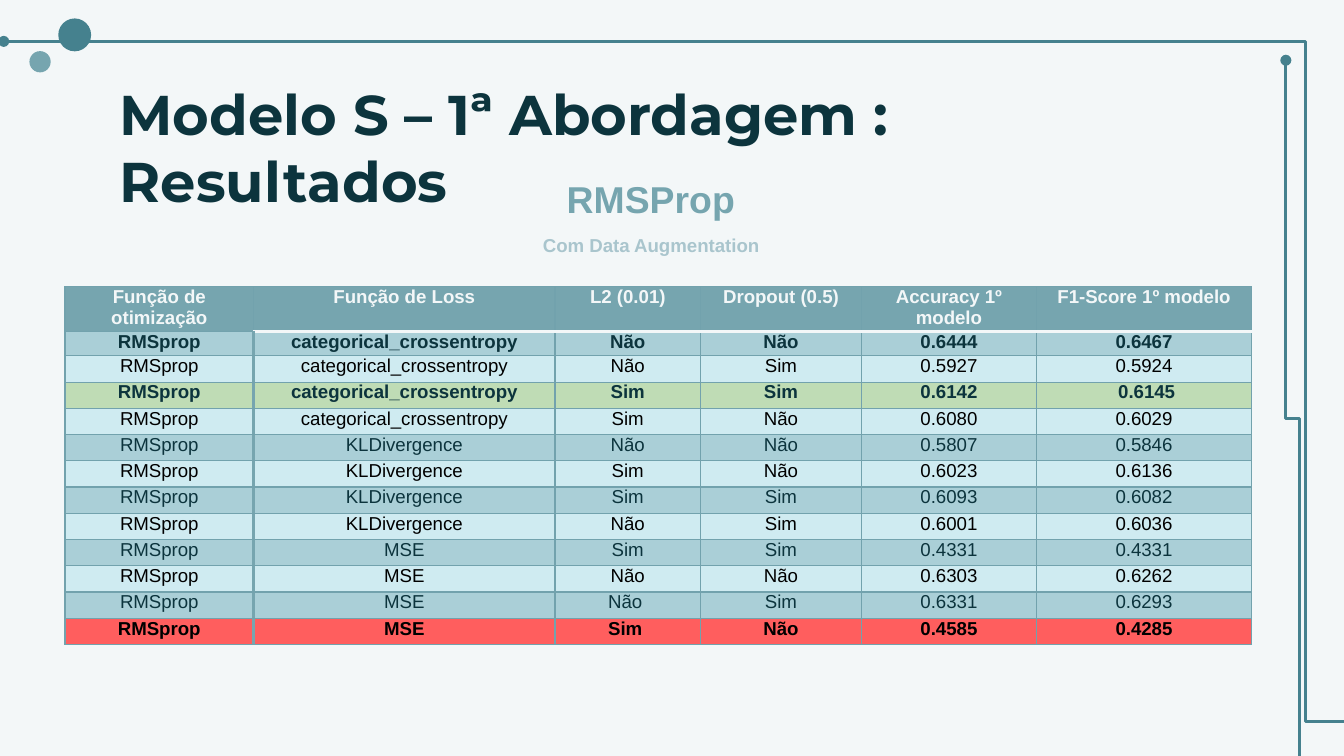
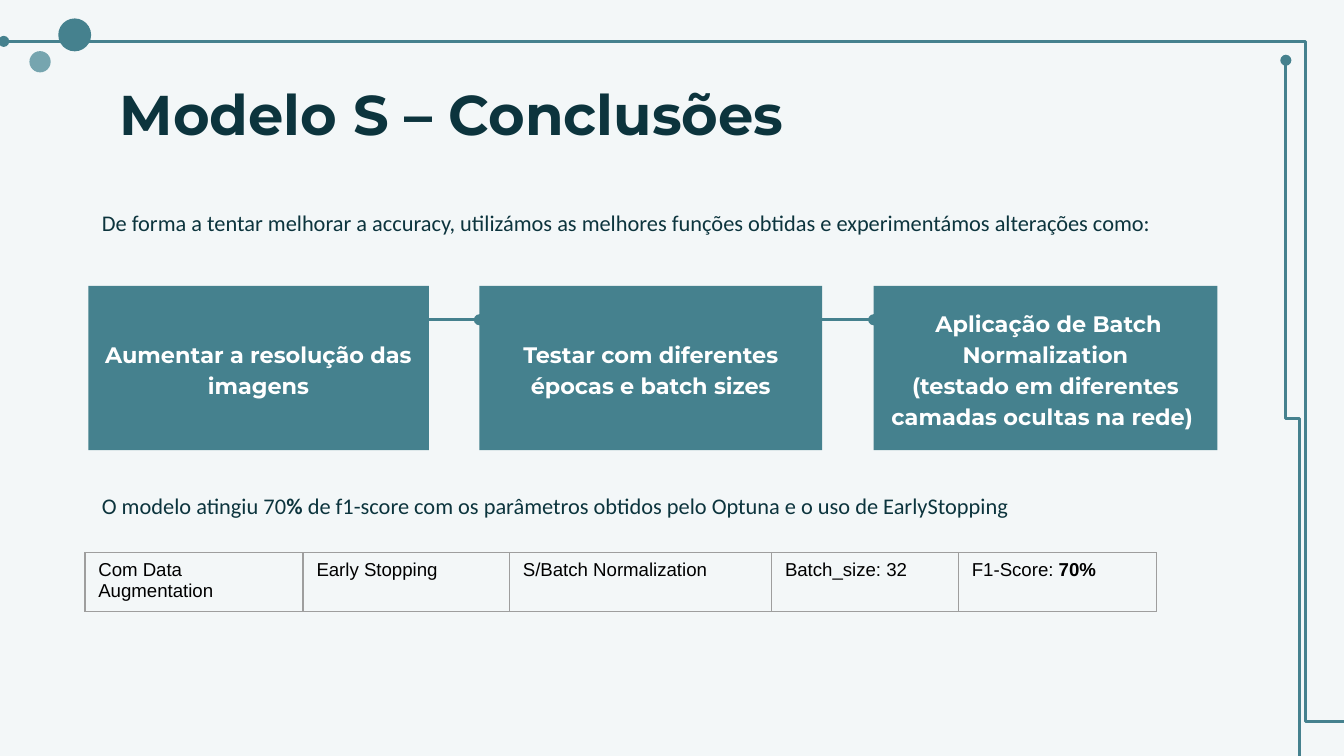
from dataclasses import dataclass
from itertools import pairwise

from lxml.etree import SubElement
from pptx import Presentation
from pptx.dml.color import RGBColor
from pptx.enum.shapes import MSO_CONNECTOR, MSO_SHAPE
from pptx.enum.text import MSO_ANCHOR, PP_ALIGN
from pptx.oxml.ns import qn
from pptx.util import Pt

BACKGROUND = RGBColor(0xF3, 0xF7, 0xF8)
TEAL = RGBColor(0x45, 0x81, 0x8E)
SOFT_TEAL = RGBColor(0x76, 0xA5, 0xAF)
PALE_TEAL = RGBColor(0xA9, 0xC5, 0xCD)
DARK = RGBColor(0x0C, 0x34, 0x3D)
BLACK = RGBColor(0x00, 0x00, 0x00)
WHITE = RGBColor(0xFF, 0xFF, 0xFF)
GRID = RGBColor(0x72, 0xA2, 0xAD)
GREY = RGBColor(0x9E, 0x9E, 0x9E)
BAND_DARK = RGBColor(0xAA, 0xCF, 0xD7)
BAND_LIGHT = RGBColor(0xCF, 0xEB, 0xF1)
GREEN = RGBColor(0xBF, 0xDC, 0xB5)
RED = RGBColor(0xFF, 0x5E, 0x5E)


@dataclass(frozen=True)
class Box:
    left: float
    top: float
    width: float
    height: float

    @property
    def right(self) -> float:
        return self.left + self.width

    def lengths(self) -> tuple:
        return Pt(self.left), Pt(self.top), Pt(self.width), Pt(self.height)


@dataclass(frozen=True)
class Style:
    font: str
    size: float
    color: RGBColor
    bold: bool = False
    align: PP_ALIGN = PP_ALIGN.LEFT
    spacing: float = 1.0


@dataclass(frozen=True)
class TextRun:
    text: str
    bold: bool


@dataclass(frozen=True)
class Edge:
    color: RGBColor
    width: float = 0.75


@dataclass(frozen=True)
class Dot:
    box: Box
    color: RGBColor


@dataclass(frozen=True)
class Step:
    box: Box
    lines: tuple[str, ...]


@dataclass(frozen=True)
class Result:
    loss: str
    l2: str
    dropout: str
    accuracy: str
    f1_score: str
    fill: RGBColor
    color: RGBColor
    bold: bool = False

    def texts(self) -> tuple[str, ...]:
        return ("RMSprop", self.loss, self.l2, self.dropout, self.accuracy, self.f1_score)


TITLE = Style("Montserrat", 30, DARK, True)
BODY = Style("Calibri", 12, DARK)
STEP = Style("Montserrat", 12, WHITE, True, PP_ALIGN.CENTER, 1.15)
PARAMETER = Style("Arial", 10, BLACK)

DOTS = (
    Dot(Box(15.8, 27.4, 11.4, 11.4), SOFT_TEAL),
    Dot(Box(31.2, 9.9, 17.6, 17.6), TEAL),
)

CROSS = "categorical_crossentropy"
DIVERGENCE = "KLDivergence"
HEADINGS = ("Função de otimização", "Função de Loss", "L2 (0.01)", "Dropout (0.5)",
            "Accuracy 1º modelo", "F1-Score 1º modelo")
RESULTS = (
    Result(CROSS, "Não", "Não", "0.6444", "0.6467", BAND_DARK, DARK, True),
    Result(CROSS, "Não", "Sim", "0.5927", "0.5924", BAND_LIGHT, BLACK),
    Result(CROSS, "Sim", "Sim", "0.6142", " 0.6145", GREEN, DARK, True),
    Result(CROSS, "Sim", "Não", "0.6080", "0.6029", BAND_LIGHT, BLACK),
    Result(DIVERGENCE, "Não", "Não", "0.5807", "0.5846", BAND_DARK, DARK),
    Result(DIVERGENCE, "Sim", "Não", "0.6023", "0.6136", BAND_LIGHT, BLACK),
    Result(DIVERGENCE, "Sim", "Sim", "0.6093", "0.6082", BAND_DARK, DARK),
    Result(DIVERGENCE, "Não", "Sim", "0.6001", "0.6036", BAND_LIGHT, BLACK),
    Result("MSE", "Sim", "Sim", "0.4331", "0.4331", BAND_DARK, DARK),
    Result("MSE", "Não", "Não", "0.6303", "0.6262", BAND_LIGHT, BLACK),
    Result("MSE", "Não ", "Sim", "0.6331", "0.6293", BAND_DARK, DARK),
    Result("MSE", "Sim ", "Não", "0.4585", "0.4285", RED, BLACK, True),
)

STEPS = (
    Step(Box(47.3, 153.2, 182.4, 88), ("Aumentar a resolução das", "imagens")),
    Step(Box(256.8, 153.2, 183.7, 88), ("Testar com diferentes épocas e batch sizes",)),
    Step(Box(468, 153.2, 184.2, 88),
         (" Aplicação de Batch Normalization",
          "(testado em diferentes camadas ocultas na rede) ")),
)
PARAMETERS = (
    (TextRun("Com Data Augmentation", False),),
    (TextRun("Early Stopping", False),),
    (TextRun("S/Batch Normalization", False),),
    (TextRun("Batch_size: 32", False),),
    (TextRun("F1-Score:", False), TextRun(" 70%", True)),
)


def write(frame, paragraphs, style: Style) -> None:
    frame.word_wrap = True
    for index, runs in enumerate(paragraphs):
        paragraph = frame.add_paragraph() if index else frame.paragraphs[0]
        paragraph.alignment = style.align
        paragraph.line_spacing = style.spacing
        for text_run in runs:
            run = paragraph.add_run()
            run.text = text_run.text
            run.font.name = style.font
            run.font.size = Pt(style.size)
            run.font.bold = text_run.bold
            run.font.color.rgb = style.color


def plain(text: str, style: Style) -> tuple[TextRun, ...]:
    return (TextRun(text, style.bold),)


def set_margins(target, horizontal: float, vertical: float) -> None:
    target.margin_left = target.margin_right = Pt(horizontal)
    target.margin_top = target.margin_bottom = Pt(vertical)


def add_text(slide, box: Box, runs, style: Style, vertical_margin: float = 3.6) -> None:
    frame = slide.shapes.add_textbox(*box.lengths()).text_frame
    set_margins(frame, 7.2, vertical_margin)
    write(frame, (runs,), style)


def add_filled(slide, kind: MSO_SHAPE, box: Box, color: RGBColor):
    shape = slide.shapes.add_shape(kind, *box.lengths())
    shape.shadow.inherit = False
    shape.fill.solid()
    shape.fill.fore_color.rgb = color
    shape.line.fill.background()
    return shape


def add_dotted_line(slide, kind: MSO_CONNECTOR, begin: tuple[float, float],
                    end: tuple[float, float]):
    connector = slide.shapes.add_connector(kind, *map(Pt, begin + end))
    connector.line.color.rgb = TEAL
    connector.line.width = Pt(1.5)
    properties = connector._element.spPr
    SubElement(properties.find(qn("a:ln")), qn("a:tailEnd"), type="oval")
    SubElement(properties, qn("a:effectLst"))
    return connector


def add_frame(slide) -> None:
    for dot in DOTS:
        add_filled(slide, MSO_SHAPE.OVAL, dot.box, dot.color)
    outer = add_dotted_line(slide, MSO_CONNECTOR.ELBOW, (723, 386.6), (2, 22.2))
    adjustments = outer._element.spPr.find(qn("a:prstGeom")).find(qn("a:avLst"))
    SubElement(adjustments, qn("a:gd"), name="adj1", fmla="val 3300")
    inner = add_dotted_line(slide, MSO_CONNECTOR.ELBOW, (884.4, 220.6), (500.6, 227.8))
    inner._element.spPr.find(qn("a:xfrm")).set("rot", "5400000")


def add_slide(presentation, title: str, title_width: float):
    slide = presentation.slides.add_slide(presentation.slide_layouts[6])
    slide.background.fill.solid()
    slide.background.fill.fore_color.rgb = BACKGROUND
    add_frame(slide)
    add_text(slide, Box(57, 35.3, title_width, 45), plain(title, TITLE), TITLE, 7.2)
    return slide


def add_grid(slide, left: float, top: float, columns, rows):
    box = Box(left, top, sum(columns), sum(rows))
    table = slide.shapes.add_table(len(rows), len(columns), *box.lengths()).table
    table.first_row = table.horz_banding = False
    for column, width in zip(table.columns, columns):
        column.width = Pt(width)
    for row, height in zip(table.rows, rows):
        row.height = Pt(height)
    return table


def set_borders(cell, base: Edge, **special: Edge) -> None:
    properties = cell._tc.get_or_add_tcPr()
    for side in "LRTB":
        edge = special.get(side, base)
        line = SubElement(properties, qn(f"a:ln{side}"), w=str(Pt(edge.width)))
        SubElement(SubElement(line, qn("a:solidFill")), qn("a:srgbClr"), val=str(edge.color))


def special_edges(row: int, column: int) -> dict[str, Edge]:
    edges = {}
    if column and row < 2:
        edges["T" if row else "B"] = Edge(BACKGROUND, 2)
    if row and column < 2:
        edges["L" if column else "R"] = Edge(SOFT_TEAL, 2)
    return edges


def add_results(slide) -> None:
    columns = (101, 161.5, 78, 86.2, 93.8, 115.2)
    rows = (23.8, 12.9) + (14.08,) * (len(RESULTS) - 1)
    table = add_grid(slide, 34.8, 153.7, columns, rows)
    lines = [(HEADINGS, SOFT_TEAL, BACKGROUND, True)]
    lines += [(result.texts(), result.fill, result.color, result.bold) for result in RESULTS]
    for row, (texts, fill, color, bold) in enumerate(lines):
        style = Style("Arial", 10, color, bold, PP_ALIGN.CENTER)
        for column, text in enumerate(texts):
            cell = table.cell(row, column)
            set_margins(cell, 5, 0)
            set_borders(cell, Edge(GRID), **special_edges(row, column))
            cell.fill.solid()
            cell.fill.fore_color.rgb = fill
            write(cell.text_frame, (plain(text, style),), style)


def add_parameters(slide) -> None:
    table = add_grid(slide, 45.5, 296.2, (116.9, 110.6, 140.4, 100.1, 106.2), (31.2,))
    for column, runs in enumerate(PARAMETERS):
        cell = table.cell(0, column)
        set_margins(cell, 7.2, 3.6)
        set_borders(cell, Edge(GREY))
        cell.fill.background()
        write(cell.text_frame, (runs,), PARAMETER)


def add_steps(slide) -> None:
    for step in STEPS:
        shape = add_filled(slide, MSO_SHAPE.RECTANGLE, step.box, TEAL)
        frame = shape.text_frame
        set_margins(frame, 7.2, 7.2)
        frame.vertical_anchor = MSO_ANCHOR.MIDDLE
        write(frame, [plain(line, STEP) for line in step.lines], STEP)
    for step, following in pairwise(STEPS):
        add_dotted_line(slide, MSO_CONNECTOR.STRAIGHT,
                        (step.box.right, 171.3), (following.box.left, 171.3))


def build_results(presentation) -> None:
    slide = add_slide(presentation, "Modelo S – 1ª Abordagem : Resultados", 607)
    add_results(slide)
    optimizer = Style("Arial", 20, SOFT_TEAL, True)
    add_text(slide, Box(296.5, 90.7, 107.5, 31.5), plain("RMSProp", optimizer), optimizer)
    subtitle = Style("Arial", 10, PALE_TEAL, True)
    add_text(slide, Box(283.8, 121.7, 132.5, 19.4),
             plain("Com Data Augmentation", subtitle), subtitle)


def build_conclusions(presentation) -> None:
    slide = add_slide(presentation, "Modelo S – Conclusões", 620.6)
    add_text(slide, Box(47.5, 108.7, 614, 21.8),
             plain("De forma a tentar melhorar a accuracy, utilizámos as melhores funções "
                   "obtidas e experimentámos alterações como:", BODY), BODY)
    add_steps(slide)
    add_text(slide, Box(47.5, 260, 572.4, 36),
             (TextRun("O modelo atingiu 70", False), TextRun("% ", True),
              TextRun("de f1-score com os parâmetros obtidos pelo Optuna "
                      "e o uso de EarlyStopping", False)), BODY)
    add_parameters(slide)


def main() -> None:
    presentation = Presentation()
    presentation.slide_width, presentation.slide_height = Pt(720), Pt(405)
    build_results(presentation)
    build_conclusions(presentation)
    presentation.save("out.pptx")


if __name__ == "__main__":
    main()
